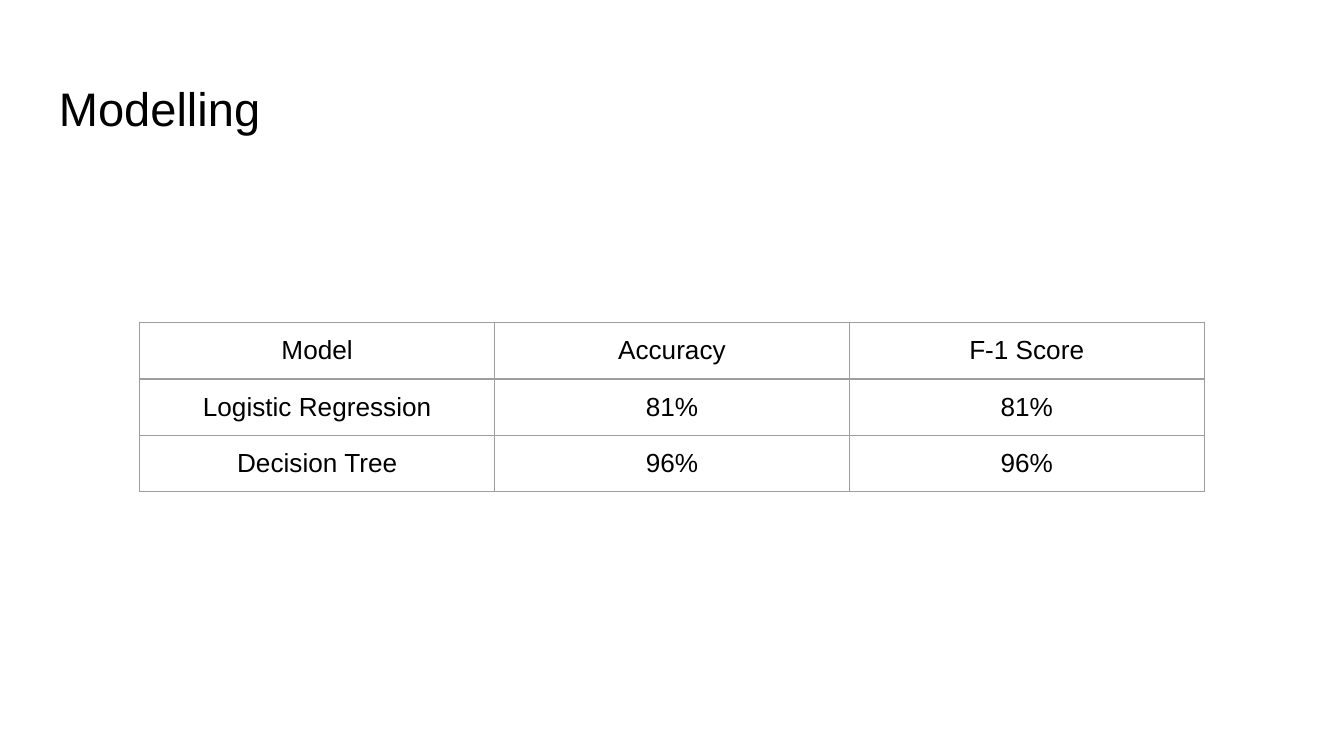
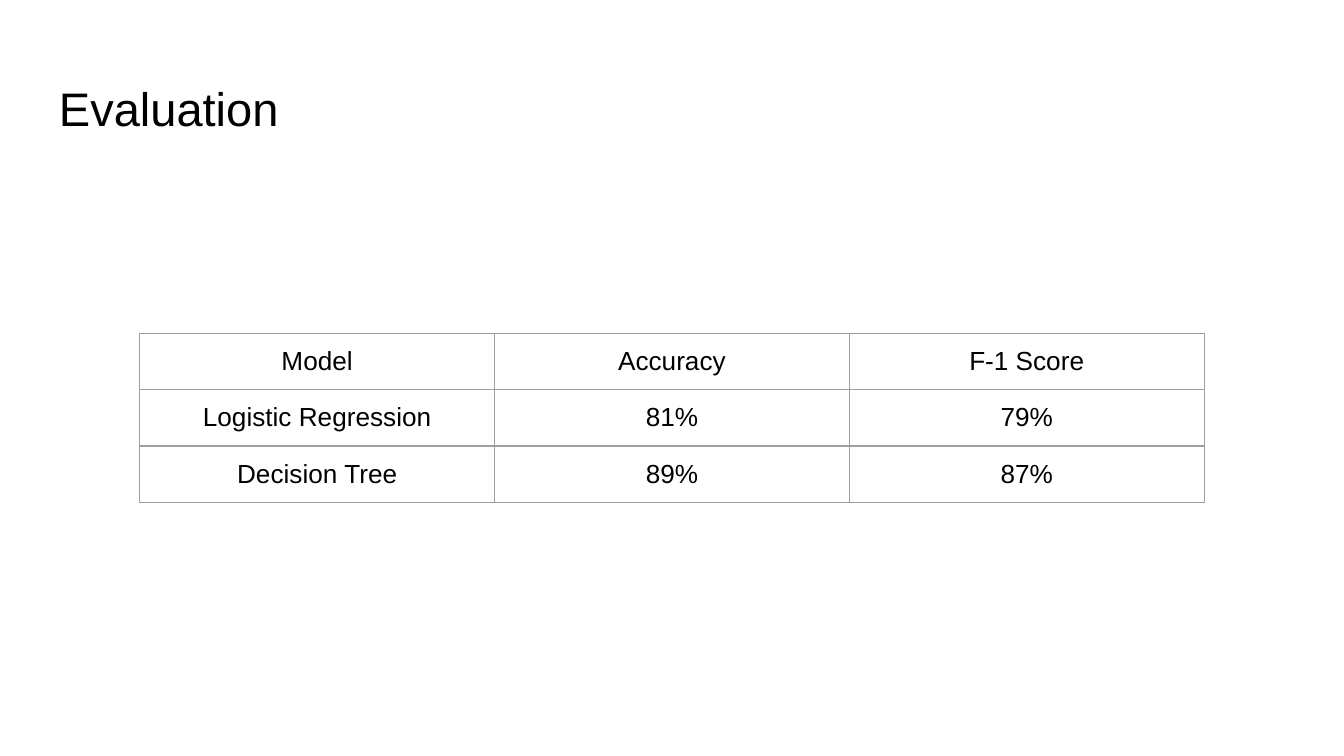
from pptx import Presentation
from pptx.dml.color import RGBColor
from pptx.enum.text import MSO_ANCHOR, PP_ALIGN
from pptx.oxml import parse_xml
from pptx.oxml.ns import nsdecls
from pptx.util import Inches, Pt

FONT = "Arial"
INK = "000000"
PAPER = "FFFFFF"
RULE = "9E9E9E"
RULE_WIDTH = Pt(0.75)
INSET = Inches(0.1)
CELL_INSET = Inches(0.09)
COLUMN_WIDTH = Inches(2.64)
ROW_HEIGHT = Inches(0.42)


def color(value):
    return RGBColor.from_string(value)


def write(frame, text, size=14, ink=INK, align=PP_ALIGN.LEFT):
    para = frame.paragraphs[0]
    para.alignment = align
    span = para.add_run()
    span.text = text
    span.font.name = FONT
    span.font.size = Pt(size)
    span.font.color.rgb = color(ink)


deck = Presentation()
deck.slide_width = Inches(10)
deck.slide_height = deck.slide_width * 9 // 16

header = ("Model", "Accuracy", "F-1 Score")
results = [
    ("Modelling", 2.4, [("Logistic Regression", "81%", "81%"), ("Decision Tree", "96%", "96%")]),
    ("Evaluation", 2.48, [("Logistic Regression", "81%", "79%"), ("Decision Tree", "89%", "87%")]),
]

for title, table_top, scores in results:
    page = deck.slides.add_slide(deck.slide_layouts[6])
    page.background.fill.solid()
    page.background.fill.fore_color.rgb = color(PAPER)

    box = page.shapes.add_textbox(Inches(0.34), Inches(0.49), Inches(9.32), Inches(0.63))
    frame = box.text_frame
    frame.word_wrap = True
    frame.vertical_anchor = MSO_ANCHOR.TOP
    frame.margin_left = frame.margin_right = INSET
    frame.margin_top = frame.margin_bottom = INSET
    write(frame, title, size=25.2)

    rows = [header, *scores]
    table = page.shapes.add_table(
        len(rows), len(header), Inches(1.04), Inches(table_top),
        COLUMN_WIDTH * len(header), ROW_HEIGHT * len(rows),
    ).table
    table.horz_banding = False
    table.first_row = False

    for row_index, row in enumerate(rows):
        for column_index, text in enumerate(row):
            cell = table.cell(row_index, column_index)
            cell.fill.background()
            cell.vertical_anchor = MSO_ANCHOR.MIDDLE
            cell.margin_left = cell.margin_right = INSET
            cell.margin_top = cell.margin_bottom = CELL_INSET
            write(cell.text_frame, text, align=PP_ALIGN.CENTER)
            properties = cell._tc.get_or_add_tcPr()
            for position, side in enumerate(("lnL", "lnR", "lnT", "lnB")):
                properties.insert(position, parse_xml(
                    f'<a:{side} {nsdecls("a")} w="{RULE_WIDTH}"><a:solidFill>'
                    f'<a:srgbClr val="{RULE}"/></a:solidFill></a:{side}>'
                ))

deck.save("out.pptx")
